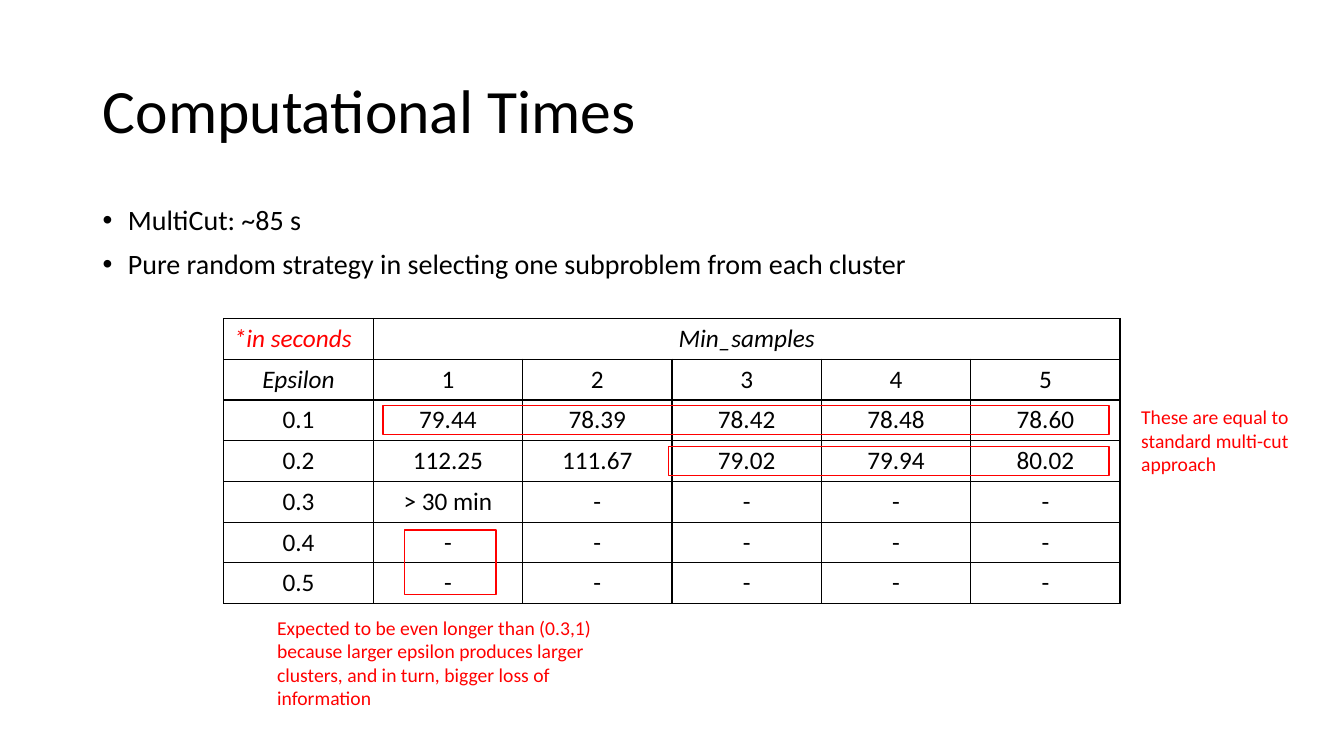
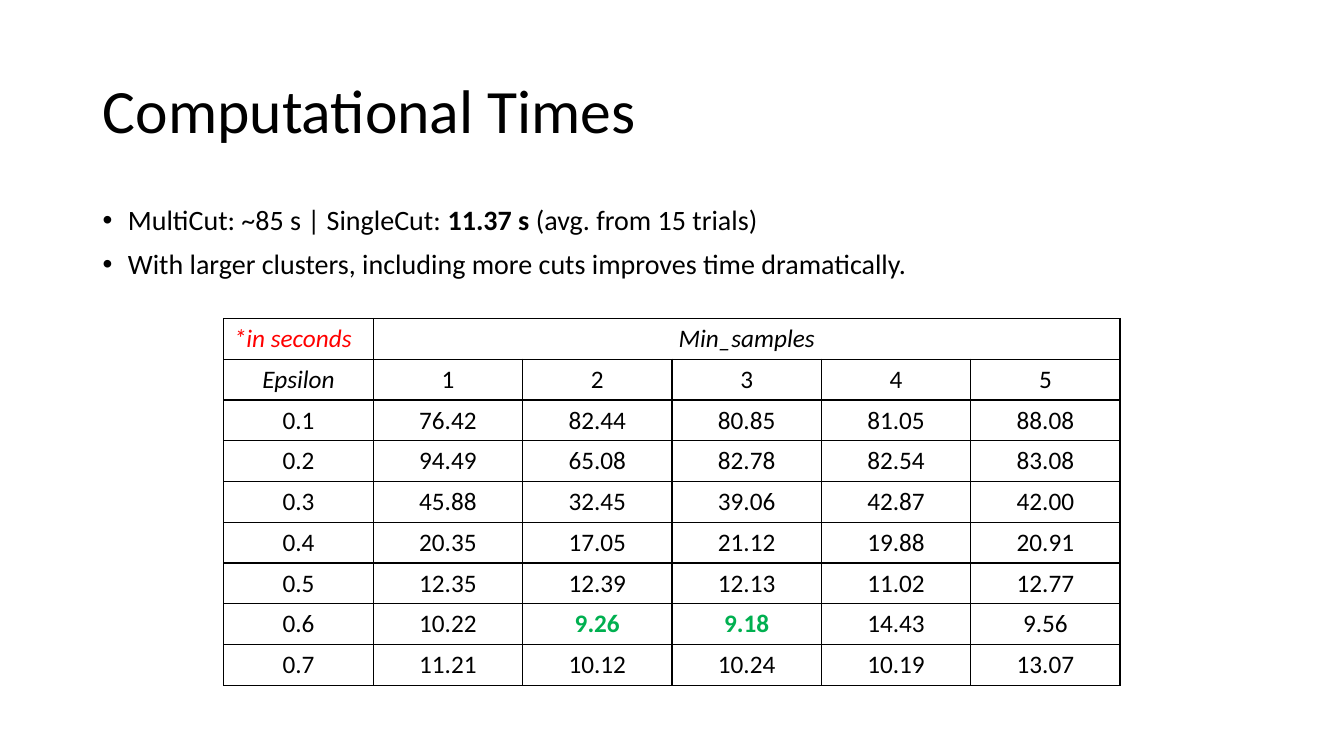
from dataclasses import dataclass

import lxml.etree
import pptx
import pptx.dml.color
import pptx.enum.shapes
import pptx.enum.text
import pptx.oxml
import pptx.oxml.ns
import pptx.presentation
import pptx.shapes.autoshape
import pptx.slide
import pptx.table
import pptx.text.text
import pptx.util
from pptx.dml.color import RGBColor
from pptx.util import Inches

# Shared style
BLACK = RGBColor(0x00, 0x00, 0x00)
RED = RGBColor(0xFF, 0x00, 0x00)
GREEN = RGBColor(0x00, 0xB0, 0x50)
FONT = "Calibri"
TITLE = "Computational Times"
TITLE_SIZE, BULLET_SIZE, TABLE_SIZE, NOTE_SIZE = 44, 20, 18, 14
LINE_SPACING = 0.9
TITLE_ONLY_LAYOUT = 5
MIN_SAMPLES = ("1", "2", "3", "4", "5")


@dataclass(frozen=True)
class Box:
    left: float
    top: float
    width: float
    height: float

    def lengths(self) -> tuple[pptx.util.Length, ...]:
        return tuple(Inches(value) for value in (self.left, self.top, self.width, self.height))


@dataclass(frozen=True)
class TextPart:
    text: str
    bold: bool = False


@dataclass(frozen=True)
class Note:
    box: Box
    text: str


@dataclass(frozen=True)
class TimingSlide:
    bullets: tuple[tuple[TextPart, ...], ...]
    table_height: float
    times: dict[str, tuple[str, ...]]
    best_times: tuple[str, ...] = ()
    highlights: tuple[Box, ...] = ()
    notes: tuple[Note, ...] = ()


TITLE_BOX = Box(0.92, 0.4, 11.5, 1.45)
BULLET_BOX = Box(0.92, 2, 11.5, 4.76)
TABLE_LEFT, TABLE_TOP, TABLE_WIDTH = 2.22, 3.16, 8.89

# Slide content
NOT_RUN = ("-",) * len(MIN_SAMPLES)
TIMING_SLIDES = (
    TimingSlide(
        bullets=(
            (TextPart("MultiCut: ~85 s"),),
            (TextPart("Pure random strategy in selecting one subproblem from each cluster"),),
        ),
        table_height=2.83,
        times={
            "0.1": ("79.44", "78.39", "78.42", "78.48", "78.60"),
            "0.2": ("112.25", "111.67", "79.02", "79.94", "80.02"),
            "0.3": ("> 30 min",) + NOT_RUN[1:],
            "0.4": NOT_RUN,
            "0.5": NOT_RUN,
        },
        highlights=(
            Box(4.01, 5.26, 0.91, 0.64),
            Box(3.8, 4.02, 7.2, 0.29),
            Box(6.63, 4.43, 4.37, 0.29),
        ),
        notes=(
            Note(
                Box(2.65, 6.06, 3.62, 1.04),
                "Expected to be even longer than (0.3,1) because larger epsilon produces "
                "larger clusters, and in turn, bigger loss of information",
            ),
            Note(Box(11.22, 3.97, 1.75, 0.81), "These are equal to standard multi-cut approach"),
        ),
    ),
    TimingSlide(
        bullets=(
            (
                TextPart("MultiCut: ~85 s | SingleCut: "),
                TextPart("11.37 s ", bold=True),
                TextPart("(avg. from 15 trials)"),
            ),
            (TextPart("With larger clusters, including more cuts improves time dramatically."),),
        ),
        table_height=3.64,
        times={
            "0.1": ("76.42", "82.44", "80.85", "81.05", "88.08"),
            "0.2": ("94.49", "65.08", "82.78", "82.54", "83.08"),
            "0.3": ("45.88", "32.45", "39.06", "42.87", "42.00"),
            "0.4": ("20.35", "17.05", "21.12", "19.88", "20.91"),
            "0.5": ("12.35", "12.39", "12.13", "11.02", "12.77"),
            "0.6": ("10.22", "9.26", "9.18", "14.43", "9.56"),
            "0.7": ("11.21", "10.12", "10.24", "10.19", "13.07"),
        },
        best_times=("9.26", "9.18"),
    ),
)


# Text helpers
def format_paragraph(
    paragraph: pptx.text.text._Paragraph,
    size: int,
    color: RGBColor = BLACK,
    bold: bool = False,
    italic: bool = False,
) -> None:
    for run in paragraph.runs:
        run.font.name = FONT
        run.font.size = pptx.util.Pt(size)
        run.font.color.rgb = color
        run.font.bold = bold
        run.font.italic = italic


def add_bullet_mark(paragraph: pptx.text.text._Paragraph) -> None:
    properties = paragraph._p.get_or_add_pPr()
    properties.set("marL", str(Inches(0.25)))
    properties.set("indent", str(Inches(-0.25)))
    qualified = pptx.oxml.ns.qn
    lxml.etree.SubElement(properties, qualified("a:buFont"), typeface="Arial")
    lxml.etree.SubElement(properties, qualified("a:buChar"), char="•")


# Slide parts
def add_title(slide: pptx.slide.Slide) -> None:
    title = slide.shapes.title
    title.left, title.top, title.width, title.height = TITLE_BOX.lengths()
    title.text_frame.text = TITLE
    title.text_frame.vertical_anchor = pptx.enum.text.MSO_ANCHOR.MIDDLE
    paragraph = title.text_frame.paragraphs[0]
    paragraph.alignment = pptx.enum.text.PP_ALIGN.LEFT
    paragraph.line_spacing = LINE_SPACING
    format_paragraph(paragraph, TITLE_SIZE)


def add_bullets(slide: pptx.slide.Slide, bullets: tuple[tuple[TextPart, ...], ...]) -> None:
    text_frame = slide.shapes.add_textbox(*BULLET_BOX.lengths()).text_frame
    text_frame.word_wrap = True
    for index, parts in enumerate(bullets):
        paragraph = text_frame.add_paragraph() if index else text_frame.paragraphs[0]
        paragraph.line_spacing = LINE_SPACING
        paragraph.space_before = pptx.util.Pt(10)
        add_bullet_mark(paragraph)
        for part in parts:
            paragraph.add_run().text = part.text
        format_paragraph(paragraph, BULLET_SIZE)
        for run, part in zip(paragraph.runs, parts):
            run.font.bold = part.bold


def add_borders(cell: pptx.table._Cell) -> None:
    properties = cell._tc.get_or_add_tcPr()
    for side in ("lnL", "lnR", "lnT", "lnB"):
        properties.append(pptx.oxml.parse_xml(
            f'<a:{side} {pptx.oxml.ns.nsdecls("a")} w="{pptx.util.Pt(1)}">'
            f'<a:solidFill><a:srgbClr val="{BLACK}"/></a:solidFill></a:{side}>'
        ))


def add_timing_table(slide: pptx.slide.Slide, content: TimingSlide) -> None:
    rows = [
        ("*in seconds", "Min_samples", "", "", "", ""),
        ("Epsilon", *MIN_SAMPLES),
        *((epsilon, *times) for epsilon, times in content.times.items()),
    ]
    box = Box(TABLE_LEFT, TABLE_TOP, TABLE_WIDTH, content.table_height)
    table = slide.shapes.add_table(len(rows), len(rows[0]), *box.lengths()).table
    table.first_row = table.horz_banding = False
    for row_index, row in enumerate(rows):
        for column_index, text in enumerate(row):
            cell = table.cell(row_index, column_index)
            add_borders(cell)
            cell.fill.background()
            cell.text_frame.text = text
            paragraph = cell.text_frame.paragraphs[0]
            is_unit = row_index == column_index == 0
            is_best = text in content.best_times
            if not is_unit:
                paragraph.alignment = pptx.enum.text.PP_ALIGN.CENTER
            format_paragraph(
                paragraph,
                TABLE_SIZE,
                color=RED if is_unit else GREEN if is_best else BLACK,
                bold=is_best,
                italic=row_index == 0 or text == "Epsilon",
            )
    table.cell(0, 1).merge(table.cell(0, len(MIN_SAMPLES)))


def add_highlight(slide: pptx.slide.Slide, box: Box) -> None:
    shape = slide.shapes.add_shape(pptx.enum.shapes.MSO_SHAPE.RECTANGLE, *box.lengths())
    shape.shadow.inherit = False
    shape.fill.background()
    shape.line.color.rgb = RED
    shape.line.width = pptx.util.Pt(1)


def add_note(slide: pptx.slide.Slide, note: Note) -> None:
    text_frame = slide.shapes.add_textbox(*note.box.lengths()).text_frame
    text_frame.word_wrap = True
    text_frame.auto_size = pptx.enum.text.MSO_AUTO_SIZE.SHAPE_TO_FIT_TEXT
    text_frame.text = note.text
    format_paragraph(text_frame.paragraphs[0], NOTE_SIZE, RED)


def add_timing_slide(
    presentation: pptx.presentation.Presentation, content: TimingSlide
) -> None:
    slide = presentation.slides.add_slide(presentation.slide_layouts[TITLE_ONLY_LAYOUT])
    add_title(slide)
    add_bullets(slide, content.bullets)
    add_timing_table(slide, content)
    for box in content.highlights:
        add_highlight(slide, box)
    for note in content.notes:
        add_note(slide, note)


# Presentation
presentation = pptx.Presentation()
presentation.slide_width = Inches(13.33)
presentation.slide_height = Inches(7.5)
for timing_slide in TIMING_SLIDES:
    add_timing_slide(presentation, timing_slide)
presentation.save("out.pptx")
